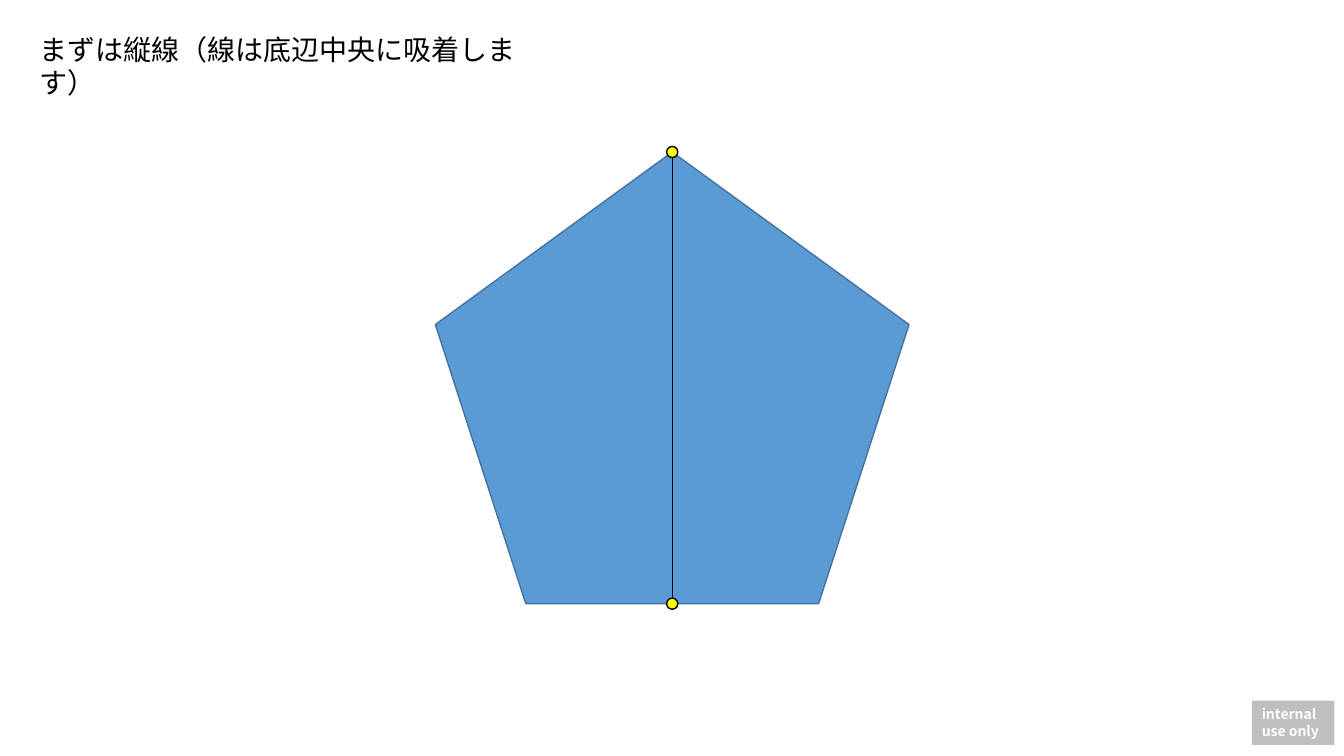
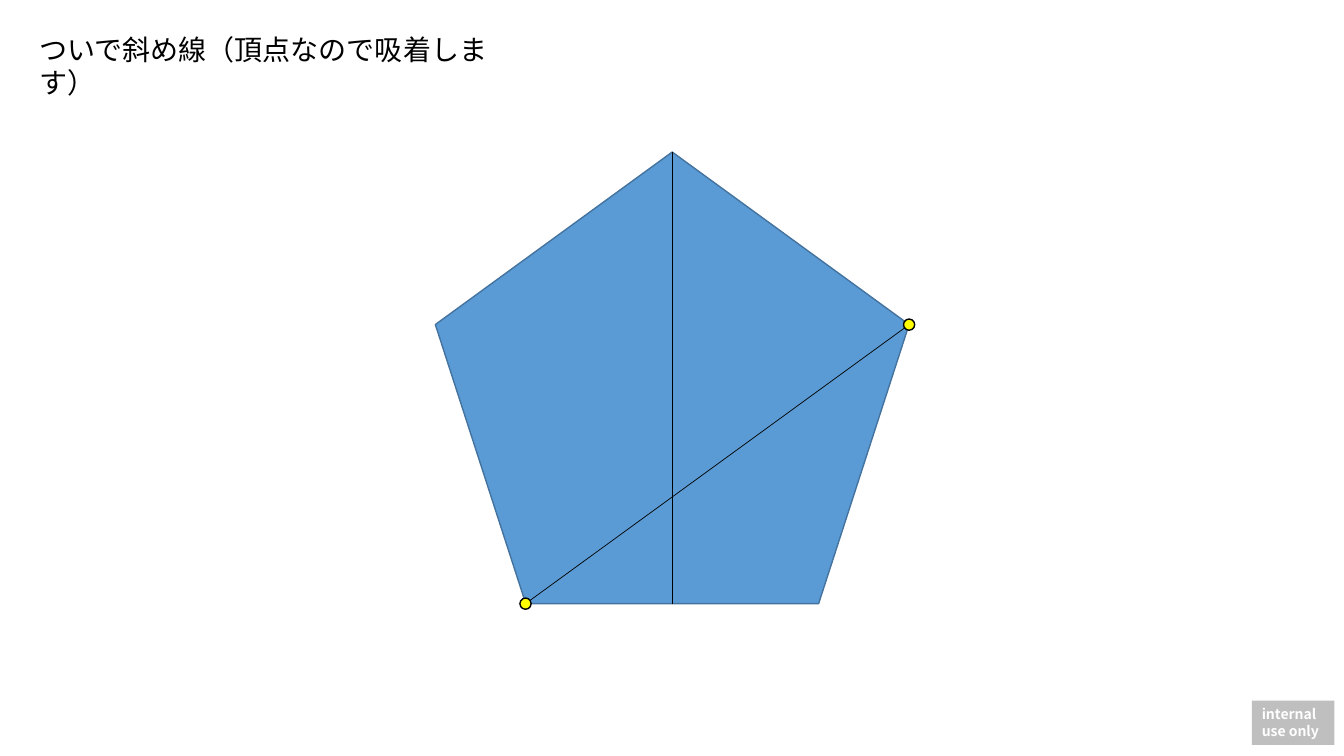
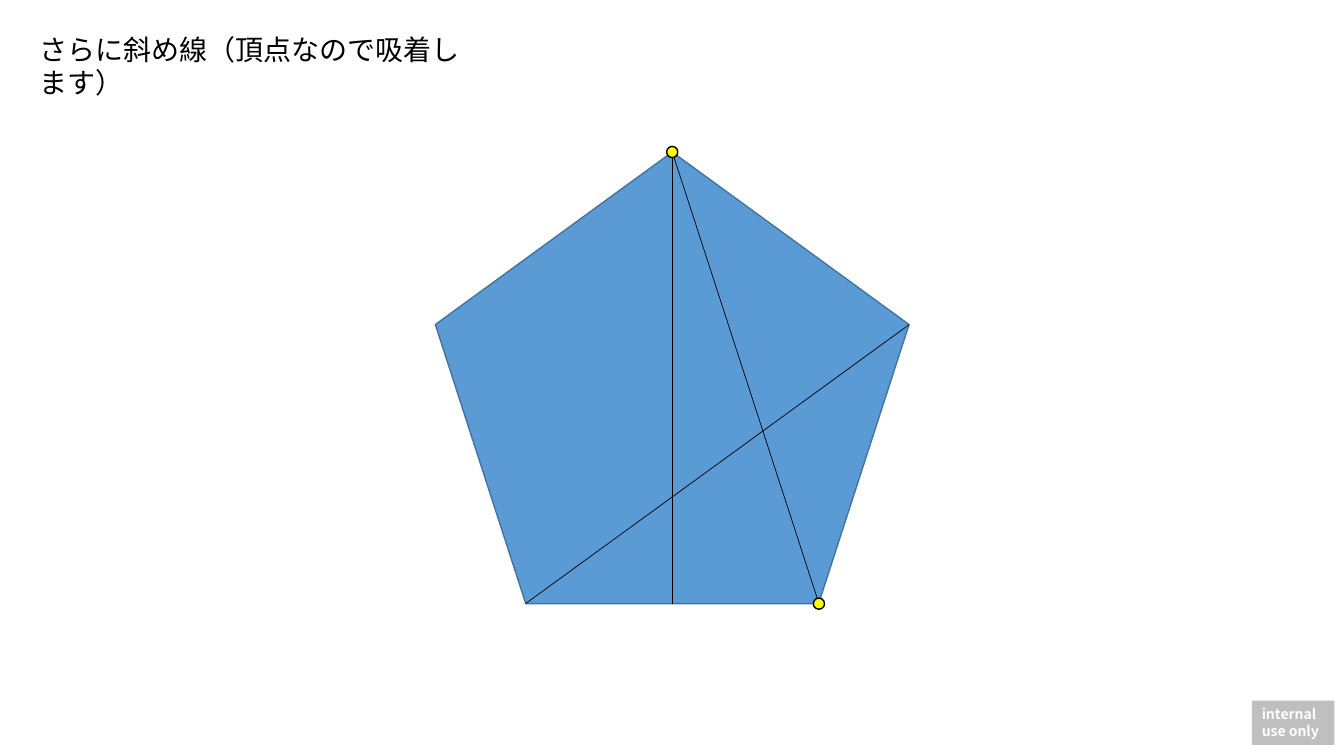
from dataclasses import dataclass

from pptx import Presentation
from pptx.dml.color import RGBColor as Rgb
from pptx.enum import shapes, text
from pptx.oxml.ns import qn
from pptx.util import Pt


@dataclass(frozen=True)
class Theme:
    """Colours, font and type sizes of the deck."""
    font: str = "Noto Sans CJK JP"
    head: int = 20
    note: int = 10
    ink: Rgb = Rgb(0, 0, 0)
    white: Rgb = Rgb(255, 255, 255)
    grey: Rgb = Rgb(0xBF, 0xBF, 0xBF)
    blue: Rgb = Rgb(0x5B, 0x9B, 0xD5)
    edge: Rgb = Rgb(0x43, 0x73, 0x9E)
    dot: Rgb = Rgb(255, 255, 0)


theme = Theme()
kind = shapes.MSO_SHAPE


def add_form(slide, form, box, fill, line=None):
    """Add a flat preset shape, with a 1 pt outline if a colour is given."""
    shape = slide.shapes.add_shape(form, *map(Pt, box))
    shape.shadow.inherit = False
    shape.fill.solid()
    shape.fill.fore_color.rgb = fill
    if line is None:
        shape.line.fill.background()
    else:
        shape.line.color.rgb = line
        shape.line.width = Pt(1)
    return shape


def set_text(shape, lines, size, color, bold, wrap):
    """Write left-aligned paragraphs in the deck font."""
    frame = shape.text_frame
    frame.word_wrap = wrap
    frame.vertical_anchor = text.MSO_ANCHOR.TOP
    frame.text = "\n".join(lines)
    for para in frame.paragraphs:
        para.alignment = text.PP_ALIGN.LEFT
        para.line_spacing = Pt(size * 1.2)
        para.font.name = theme.font
        para.font.size = Pt(size)
        para.font.bold = bold
        para.font.color.rgb = color
        for run in para.runs:
            east = run.font._element.makeelement(qn("a:ea"), {"typeface": theme.font})
            run.font._element.append(east)


# Pentagon frame and the points that lines snap to
left, top, width, height = 311, 108.6, 338.4, 322.6
mid, base = left + width / 2, top + height
foot = 104.8
points = {
    "top": (mid, top),
    "right": (left + width, 231.9),
    "foot": (mid, base),
    "foot left": (mid - foot, base),
    "foot right": (mid + foot, base),
}
size = 8

# Each step adds one line to those before it
steps = [
    ("まずは縦線（線は底辺中央に吸着します）", 371, ("top", "foot")),
    ("ついで斜め線（頂点なので吸着します）", 343, ("foot left", "right")),
    ("さらに斜め線（頂点なので吸着します）", 334, ("top", "foot right")),
]

deck = Presentation()
deck.slide_width, deck.slide_height = Pt(960), Pt(540)

for count, (title, span, ends) in enumerate(steps, 1):
    slide = deck.slides.add_slide(deck.slide_layouts[6])

    tag = add_form(slide, kind.RECTANGLE, (894.2, 500.4, 59, 31.7), theme.grey)
    set_text(tag, ["internal", "use only"], theme.note, theme.white, True, False)

    add_form(slide, kind.REGULAR_PENTAGON, (left, top, width, height),
             theme.blue, theme.edge)

    for _, _, (start, end) in steps[:count]:
        line = slide.shapes.add_connector(
            shapes.MSO_CONNECTOR.STRAIGHT, *map(Pt, points[start] + points[end]))
        line.line.color.rgb = theme.ink
        line.line.width = Pt(0.5)
        props = line._element.spPr
        props.append(props.makeelement(qn("a:effectLst"), {}))

    head = slide.shapes.add_textbox(Pt(21), Pt(19.4), Pt(span), Pt(31.7))
    set_text(head, [title], theme.head, theme.ink, False, True)

    for x, y in (points[end] for end in ends):
        add_form(slide, kind.OVAL, (x - size / 2, y - size / 2, size, size),
                 theme.dot, theme.ink)

deck.save("out.pptx")
